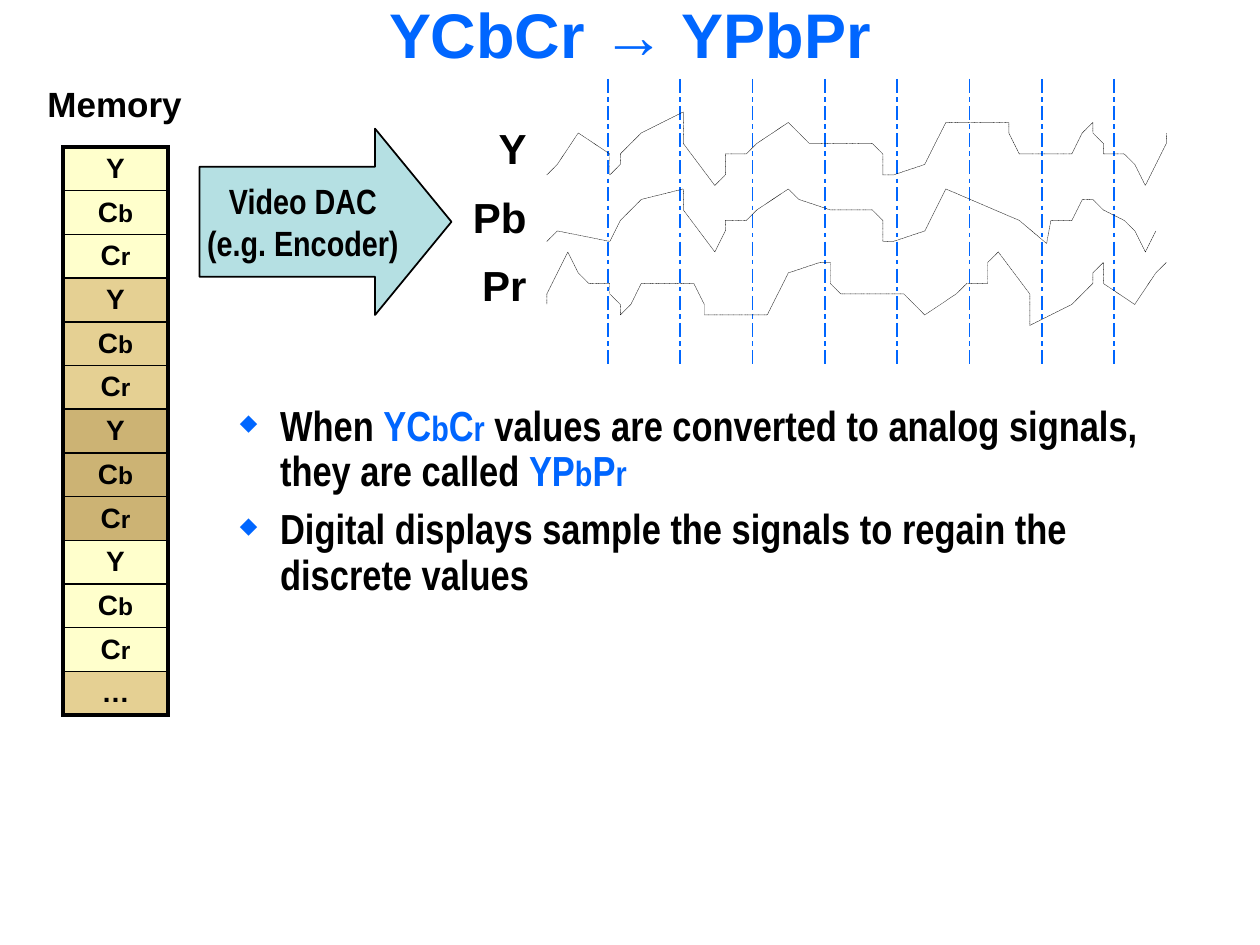
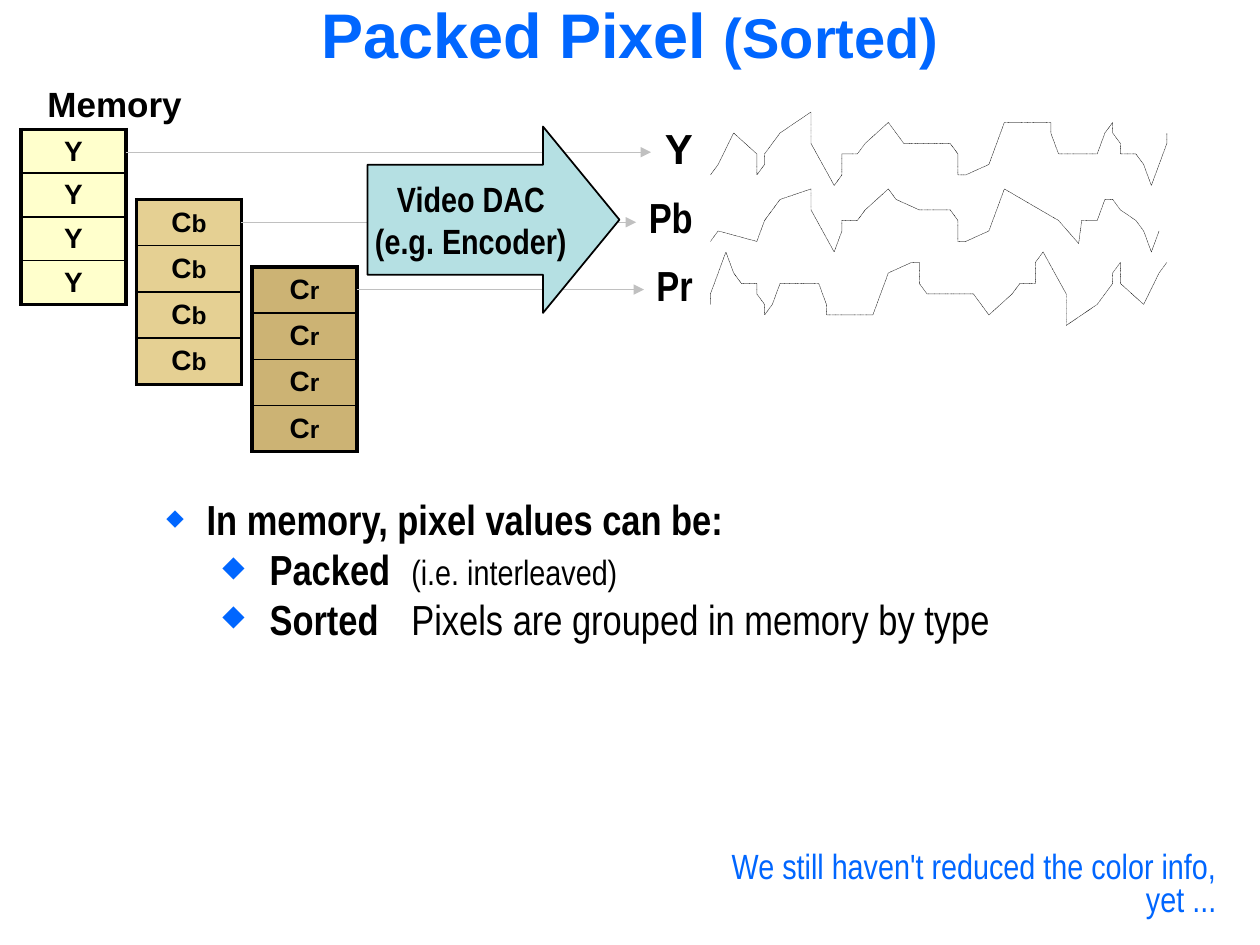
from pptx import Presentation
from pptx.dml.color import RGBColor
from pptx.enum.dml import MSO_LINE
from pptx.enum.shapes import MSO_CONNECTOR, MSO_SHAPE
from pptx.enum.text import MSO_ANCHOR, MSO_AUTO_SIZE, PP_ALIGN
from pptx.oxml.ns import qn
from pptx.util import Pt
from lxml import etree

LEFT, CENTER, RIGHT = PP_ALIGN.LEFT, PP_ALIGN.CENTER, PP_ALIGN.RIGHT
TOP, MIDDLE, BOTTOM = MSO_ANCHOR.TOP, MSO_ANCHOR.MIDDLE, MSO_ANCHOR.BOTTOM
NO_AUTOFIT = MSO_AUTO_SIZE.NONE
STRAIGHT = MSO_CONNECTOR.STRAIGHT
RIGHT_ARROW = MSO_SHAPE.RIGHT_ARROW
DOTTED = MSO_LINE.ROUND_DOT
TITLE_ONLY = 5

BLUE, BLACK, GREY, TEAL = "0066FF", "000000", "C0C0C0", "B5E0E3"
CREAM, SAND, TAN = "FFFFCC", "E5D093", "CCB374"
WIDE, NARROW = "Arial", "Arial Narrow"

BULLET_LEVELS = [
    {"margin": 27, "hang": 23, "percent": 54},
    {"margin": 63, "hang": 27, "percent": 69},
]

SMALL = {"size": 14}
LUMA = ["Y"]
BLUE_DIFFERENCE = ["C", ("b", SMALL)]
RED_DIFFERENCE = ["C", ("r", SMALL)]

SIGNAL_NAMES = ["Y", "Pb", "Pr"]
LABEL_TOPS = [72, 111.5, 150.5]
WAVE_TOPS = [64, 108, 144]
WAVE_STEP = 6
WAVES = [
    [(0, 6), (1, 5), (3, 2), (6, 4), (6, 6), (7, 5), (7, 4), (9, 2), (13, 0), (13, 3),
     (16, 7), (17, 6), (17, 4), (19, 4), (20, 3), (23, 1), (25, 3), (31, 3), (32, 4),
     (32, 6), (33, 6), (36, 5), (38, 1), (44, 1), (44, 2), (45, 4), (50, 4), (51, 2),
     (52, 1), (52, 2), (53, 3), (53, 4), (55, 4), (56, 5), (57, 7), (59, 3), (59, 2)],
    [(0, 5), (1, 4), (6, 5), (7, 3), (9, 1), (13, 0), (13, 2), (16, 6), (17, 4), (17, 3),
     (19, 3), (20, 2), (23, 0), (24, 1), (27, 2), (31, 2), (32, 3), (32, 5), (33, 5),
     (36, 4), (38, 0), (45, 3), (47.6, 5.2), (48, 3), (50, 3), (51, 1), (52, 1), (53, 2),
     (55, 3), (56, 4), (57, 6), (58, 4)],
    [(59, 1), (58, 2), (56, 5), (53, 3), (53, 1), (52, 2), (52, 3), (50, 5), (46, 7),
     (46, 4), (43, 0), (42, 1), (42, 3), (40, 3), (39, 4), (36, 6), (34, 4), (28, 4),
     (27, 3), (27, 1), (26, 1), (23, 2), (21, 6), (15, 6), (15, 5), (14, 3), (9, 3),
     (8, 5), (7, 6), (7, 5), (6, 4), (6, 3), (4, 3), (3, 2), (2, 0), (0, 4), (0, 5)],
]


def color(value):
    return RGBColor.from_string(value)


def add_element(parent, tag, **attributes):
    return etree.SubElement(parent, qn(tag), attributes)


def write(paragraph, text, font=WIDE, size=20, bold=True, fill=BLACK):
    for index, piece in enumerate(text.split("\n")):
        if index:
            paragraph.add_line_break()
        run = paragraph.add_run()
        run.text = piece
        run.font.name, run.font.size, run.font.bold = font, Pt(size), bold
        run.font.color.rgb = color(fill)


def write_runs(paragraph, runs, **style):
    for run in runs:
        text, changes = (run, {}) if isinstance(run, str) else run
        write(paragraph, text, **{**style, **changes})


def set_border(cell, side, width, line_color=None, dash="solid"):
    properties = cell._tc.get_or_add_tcPr()
    line = add_element(properties, f"a:ln{side}", w=str(Pt(width)))
    if line_color is None:
        add_element(line, "a:noFill")
        return
    add_element(add_element(line, "a:solidFill"), "a:srgbClr", val=line_color)
    add_element(line, "a:prstDash", val=dash)


def set_bullet(paragraph, margin, hang, percent):
    properties = paragraph._p.get_or_add_pPr()
    properties.set("marL", str(Pt(margin)))
    properties.set("indent", str(Pt(-hang)))
    add_element(add_element(properties, "a:buClr"), "a:srgbClr", val=BLUE)
    add_element(properties, "a:buSzPct", val=str(percent * 1000))
    add_element(properties, "a:buChar", char="◆")


class Deck:
    def __init__(self):
        self.presentation = Presentation()
        self.presentation.slide_width, self.presentation.slide_height = Pt(720), Pt(540)
        self.slide = None

    def add_slide(self, title_runs):
        layout = self.presentation.slide_layouts[TITLE_ONLY]
        self.slide = self.presentation.slides.add_slide(layout)
        title = self.slide.shapes.title
        title.left, title.top, title.width, title.height = Pt(0), Pt(4), Pt(720), Pt(48)
        frame = title.text_frame
        frame.auto_size, frame.vertical_anchor = NO_AUTOFIT, TOP
        frame.margin_left = frame.margin_right = frame.margin_top = frame.margin_bottom = Pt(3.6)
        paragraph = frame.paragraphs[0]
        paragraph.alignment, paragraph.line_spacing = CENTER, 0.75
        write_runs(paragraph, title_runs, size=36, fill=BLUE)

    def add_frame(self, left, top, width, height, wrap=True):
        box = self.slide.shapes.add_textbox(Pt(left), Pt(top), Pt(width), Pt(height))
        box.text_frame.word_wrap = wrap
        return box.text_frame

    def add_label(self, text, left, top, width, align=LEFT, **style):
        paragraph = self.add_frame(left, top, width, 30, wrap=False).paragraphs[0]
        paragraph.alignment, paragraph.line_spacing = align, 0.8
        write(paragraph, text, **style)

    def add_remark(self, text, left, top, width, height):
        frame = self.add_frame(left, top, width, height)
        frame.margin_left = frame.margin_right = frame.margin_top = frame.margin_bottom = 0
        frame.vertical_anchor = BOTTOM
        paragraph = frame.paragraphs[0]
        paragraph.alignment, paragraph.line_spacing = RIGHT, 0.8
        write(paragraph, text, font=NARROW, bold=False, fill=BLUE)

    def add_bullets(self, left, top, height, space, items):
        frame = self.add_frame(left, top, 570, height)
        for index, (level, runs) in enumerate(items):
            paragraph = frame.add_paragraph() if index else frame.paragraphs[0]
            paragraph.level = level
            paragraph.line_spacing, paragraph.space_before = 0.9, Pt(space)
            set_bullet(paragraph, **BULLET_LEVELS[level])
            write_runs(paragraph, runs, font=NARROW, size=24)

    def add_table(self, left, top, widths, heights):
        frame = self.slide.shapes.add_table(len(heights), len(widths), Pt(left), Pt(top),
                                            Pt(sum(widths)), Pt(sum(heights)))
        table = frame.table
        table.first_row = table.horz_banding = False
        for column, width in zip(table.columns, widths):
            column.width = Pt(width)
        for row, height in zip(table.rows, heights):
            row.height = Pt(height)
        return table

    def add_memory(self, left, top, row_height, entries):
        table = self.add_table(left, top, [60], [row_height] * len(entries))
        last = len(entries) - 1
        for index, (runs, fill) in enumerate(entries):
            cell = table.cell(index, 0)
            for side in "LR":
                set_border(cell, side, 2.25, BLACK)
            set_border(cell, "T", 1 if index else 2.25, BLACK)
            set_border(cell, "B", 1 if index < last else 2.25, BLACK)
            cell.fill.solid()
            cell.fill.fore_color.rgb = color(fill)
            cell.margin_top = cell.margin_bottom = Pt(1)
            cell.vertical_anchor = MIDDLE
            paragraph = cell.text_frame.paragraphs[0]
            paragraph.alignment = CENTER
            write_runs(paragraph, runs, size=16)

    def add_sample_grid(self):
        columns, rows = 9, 4
        table = self.add_table(306, 45, [41.35] * columns, [40.8] * rows)
        for row in range(rows):
            for column in range(columns):
                cell = table.cell(row, column)
                set_border(cell, "L", 1, BLUE if column else None, "sysDashDot")
                set_border(cell, "R", 1, BLUE if column < columns - 1 else None, "sysDashDot")
                for side in "TB":
                    set_border(cell, side, 1)
                cell.fill.background()

    def add_converter(self, left, top):
        arrow = self.slide.shapes.add_shape(RIGHT_ARROW, Pt(left), Pt(top), Pt(144), Pt(106.5))
        arrow.shadow.inherit = False
        arrow.adjustments[0], arrow.adjustments[1] = 0.59, 0.41
        arrow.fill.solid()
        arrow.fill.fore_color.rgb = color(TEAL)
        arrow.line.color.rgb, arrow.line.width = color(BLACK), Pt(1)
        frame = arrow.text_frame
        frame.word_wrap, frame.vertical_anchor = False, MIDDLE
        for index, text in enumerate(["Video DAC", "(e.g. Encoder)"]):
            paragraph = frame.add_paragraph() if index else frame.paragraphs[0]
            paragraph.alignment = CENTER
            write(paragraph, text, font=NARROW)

    def add_signals(self, label_right, wave_left, step, fonts):
        for name, font, top in zip(SIGNAL_NAMES, fonts, LABEL_TOPS):
            self.add_label(name, label_right - 45, top, 45, RIGHT, font=font, size=24)
        for points, top in zip(WAVES, WAVE_TOPS):
            corners = [(Pt(wave_left + x * step), Pt(top + y * WAVE_STEP)) for x, y in points]
            builder = self.slide.shapes.build_freeform(*corners[0], scale=1.0)
            builder.add_line_segments(corners[1:], close=False)
            wave = builder.convert_to_shape()
            wave.shadow.inherit = False
            wave.fill.background()
            wave.line.color.rgb, wave.line.width = color(BLACK), Pt(0.25)
            wave.line.dash_style = DOTTED

    def add_arrow(self, start, end, height):
        connector = self.slide.shapes.add_connector(STRAIGHT, Pt(start), Pt(height),
                                                    Pt(end), Pt(height))
        connector.line.color.rgb, connector.line.width = color(GREY), Pt(0.25)
        add_element(connector.line._get_or_add_ln(), "a:tailEnd", type="triangle")
        add_element(connector._element.spPr, "a:effectLst")


def add_conversion_slide(deck):
    deck.add_slide(["YCbCr → YPbPr"])
    deck.add_sample_grid()
    pixel = [LUMA, BLUE_DIFFERENCE, RED_DIFFERENCE]
    entries = [(runs, fill) for fill in [CREAM, SAND, TAN, CREAM] for runs in pixel]
    deck.add_memory(36, 84, 25, entries + [(["…"], SAND)])
    deck.add_converter(114, 73.5)
    deck.add_label("Memory", 20, 48, 91.5)
    deck.add_signals(308, 312.5, WAVE_STEP, [WIDE] * 3)
    blue, small_blue = {"fill": BLUE}, {"fill": BLUE, "size": 20}
    deck.add_bullets(126, 228, 119.5, 7.2, [
        (0, ["When ", ("YC", blue), ("b", small_blue), ("C", blue), ("r", small_blue),
             " values are converted to analog signals,\nthey are called ",
             ("YP", blue), ("b", small_blue), ("P", blue), ("r", small_blue)]),
        (0, ["Digital displays sample the signals to regain the discrete values"]),
    ])


def add_sorted_slide(deck):
    deck.add_slide(["Packed Pixel ", ("(Sorted)", {"size": 32})])
    deck.add_memory(12, 74, 25, [(LUMA, CREAM)] * 4)
    deck.add_label("Memory", 20, 48, 91.5)
    deck.add_signals(403, 406, 4.42, [WIDE, NARROW, NARROW])
    regular = {"bold": False}
    deck.add_bullets(84, 282, 91, 2.4, [
        (0, ["In memory, pixel values can be:"]),
        (1, ["Packed\t", ("(i.e. interleaved)", {"bold": False, "size": 20})]),
        (1, ["Sorted\t", ("Pixels are grouped in memory by type", regular)]),
    ])
    deck.add_memory(78, 114, 26.4, [(BLUE_DIFFERENCE, SAND)] * 4)
    deck.add_memory(144, 152.5, 26.4, [(RED_DIFFERENCE, TAN)] * 4)
    for start, end, height in [(72, 372, 87), (138, 363.5, 127), (204, 368, 165.5)]:
        deck.add_arrow(start, end, height)
    deck.add_converter(210, 72.3)
    deck.add_remark("We still haven't reduced the color info, yet ...", 375, 506, 320, 19.5)


def main():
    deck = Deck()
    add_conversion_slide(deck)
    add_sorted_slide(deck)
    deck.presentation.save("out.pptx")


if __name__ == "__main__":
    main()
